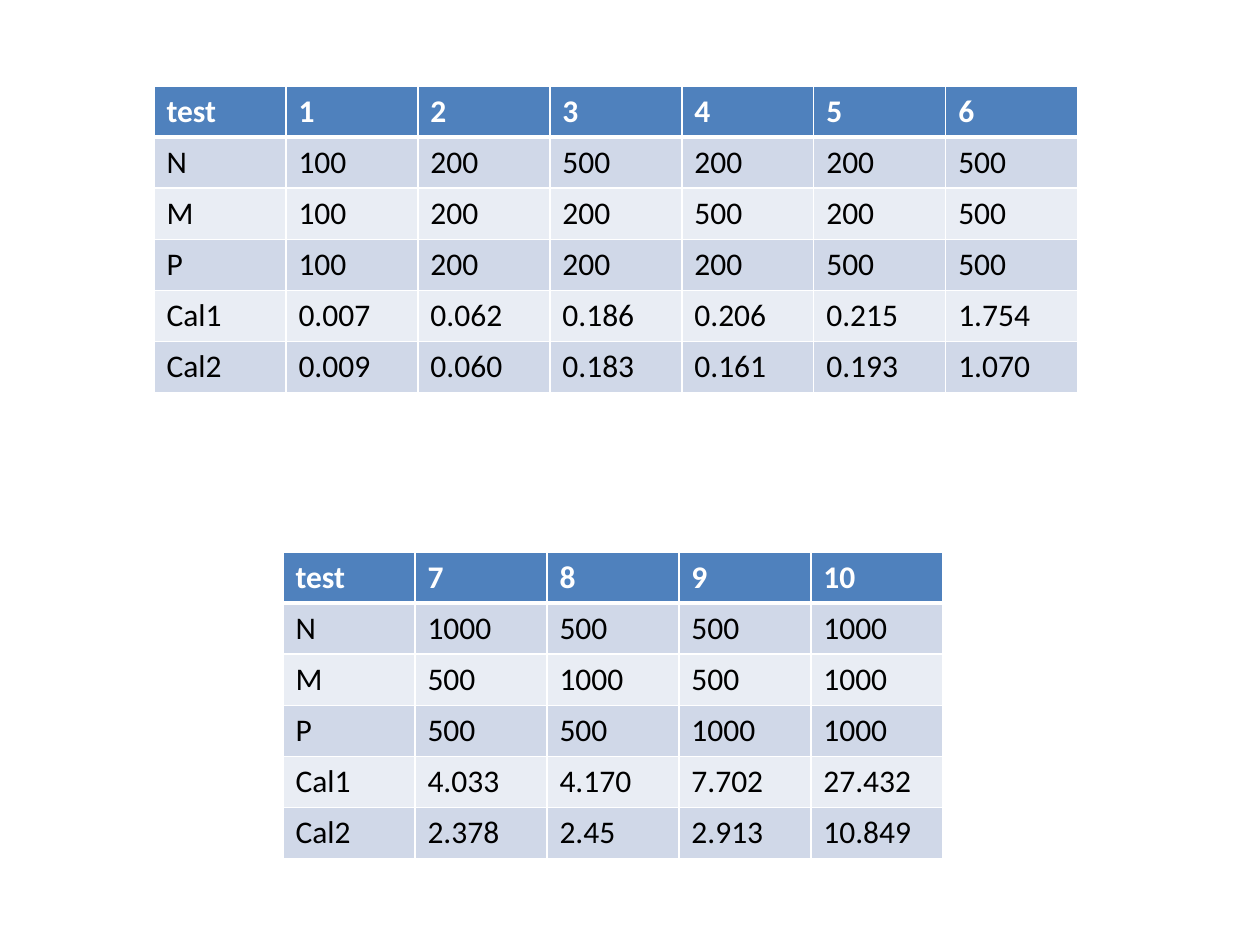
import pptx
import pptx.dml.color
import pptx.oxml
import pptx.oxml.ns
import pptx.util

PX_PER_INCH = 126
COL_W, ROW_H = 132, 51
HEADER_FILL, BAND_FILLS = "4F81BD", ("D0D8E8", "E9EDF4")
WHITE, BLACK = "FFFFFF", "000000"

TESTS_1_TO_6 = [
    ["test", "1", "2", "3", "4", "5", "6"],
    ["N", "100", "200", "500", "200", "200", "500"],
    ["M", "100", "200", "200", "500", "200", "500"],
    ["P", "100", "200", "200", "200", "500", "500"],
    ["Cal1", "0.007", "0.062", "0.186", "0.206", "0.215", "1.754"],
    ["Cal2", "0.009", "0.060", "0.183", "0.161", "0.193", "1.070"],
]
TESTS_7_TO_10 = [
    ["test", "7", "8", "9", "10"],
    ["N", "1000", "500", "500", "1000"],
    ["M", "500", "1000", "500", "1000"],
    ["P", "500", "500", "1000", "1000"],
    ["Cal1", "4.033", "4.170", "7.702", "27.432"],
    ["Cal2", "2.378", "2.45", "2.913", "10.849"],
]


def px(n):
    return pptx.util.Emu(round(n * 914400 / PX_PER_INCH))


def color(value):
    return pptx.dml.color.RGBColor.from_string(value)


def set_borders(cell, widths):
    """Draw white borders; widths maps L, R, T and B, in that order, to points."""
    tc_pr = cell._tc.get_or_add_tcPr()
    for side, width in widths.items():
        tc_pr.append(pptx.oxml.parse_xml(
            f'<a:ln{side} {pptx.oxml.ns.nsdecls("a")} w="{pptx.util.Pt(width)}">'
            f'<a:solidFill><a:srgbClr val="{WHITE}"/></a:solidFill></a:ln{side}>'))


def format_cell(cell, text, row):
    header = row == 0
    set_borders(cell, {"L": 1, "R": 1, "T": 3 if row == 1 else 1, "B": 3 if header else 1})
    cell.fill.solid()
    cell.fill.fore_color.rgb = color(HEADER_FILL if header else BAND_FILLS[(row - 1) % 2])
    cell.text = text
    font = cell.text_frame.paragraphs[0].runs[0].font
    font.name = "Calibri"
    font.size = pptx.util.Pt(18)
    font.bold = header
    font.color.rgb = color(WHITE if header else BLACK)


def add_results_table(slide, left, top, rows):
    n_rows, n_cols = len(rows), len(rows[0])
    table = slide.shapes.add_table(n_rows, n_cols, px(left), px(top),
                                   px(n_cols * COL_W), px(n_rows * ROW_H)).table
    for column in table.columns:
        column.width = px(COL_W)
    for i, values in enumerate(rows):
        table.rows[i].height = px(ROW_H)
        for j, text in enumerate(values):
            format_cell(table.cell(i, j), text, i)


def main():
    prs = pptx.Presentation()
    prs.slide_width, prs.slide_height = px(1260), px(945)
    slide = prs.slides.add_slide(prs.slide_layouts[6])
    add_results_table(slide, 154, 86, TESTS_1_TO_6)
    add_results_table(slide, 283, 552, TESTS_7_TO_10)
    prs.save("out.pptx")


if __name__ == "__main__":
    main()
